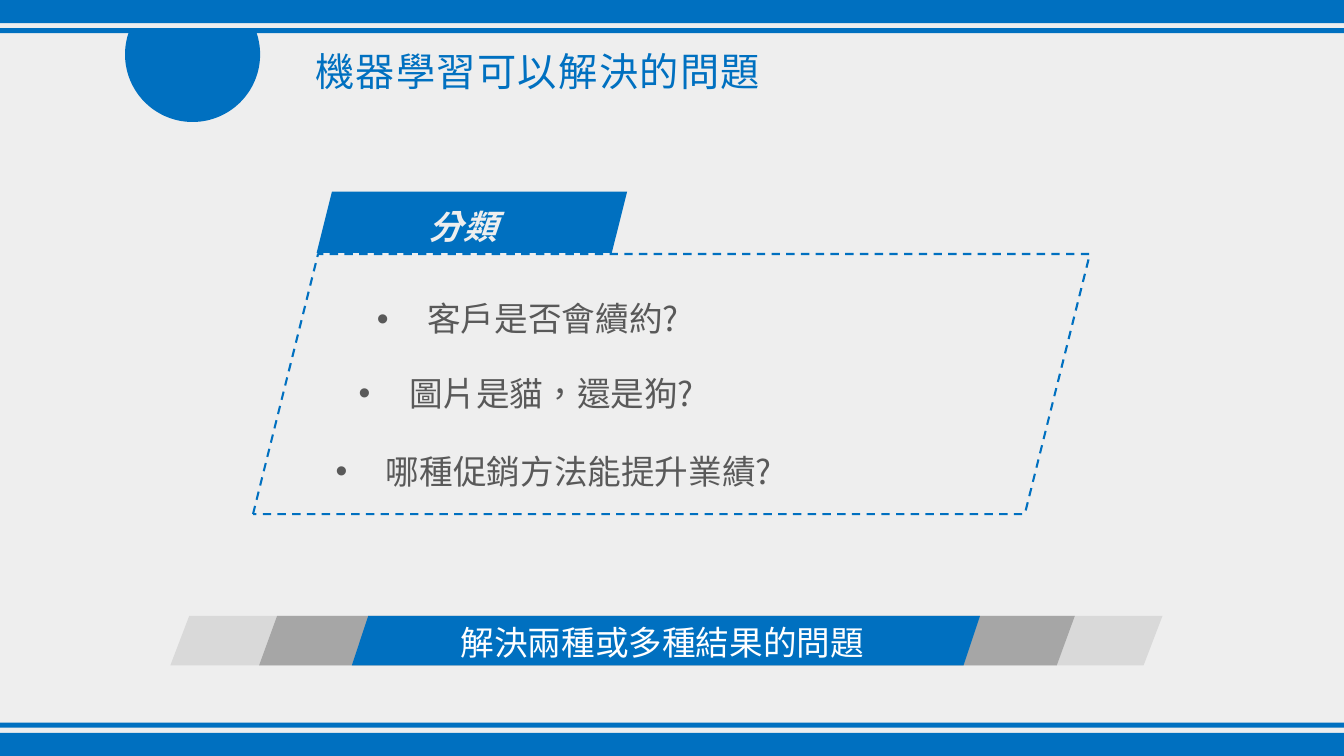
from math import asin, cos, pi, sin

from lxml.etree import SubElement
from pptx import Presentation
from pptx.dml.color import RGBColor
from pptx.enum.dml import MSO_LINE
from pptx.enum.shapes import MSO_SHAPE
from pptx.enum.text import MSO_AUTO_SIZE, PP_ALIGN
from pptx.oxml.ns import qn
from pptx.util import Inches, Pt

COLORS = {
    "blue": "0070C0",
    "paper": "EEEEEE",
    "white": "FFFFFF",
    "light": "D9D9D9",
    "mid": "A6A6A6",
    "text": "595959",
}
FONT = "Noto Sans CJK SC"


def rgb(name):
    return RGBColor.from_string(COLORS[name])


class Deck:
    """Holds the style and the current slide, and draws each kind of element."""

    def __init__(self, width, height):
        self.prs = Presentation()
        self.prs.slide_width = Inches(width)
        self.prs.slide_height = Inches(height)
        self.s = self.prs.slides.add_slide(self.prs.slide_layouts[6])
        self.s.background.fill.solid()
        self.s.background.fill.fore_color.rgb = rgb("paper")

    def paint(self, sp, fill=None, line=None):
        sp.shadow.inherit = False
        if fill:
            sp.fill.solid()
            sp.fill.fore_color.rgb = rgb(fill)
        else:
            sp.fill.background()
        if line:
            sp.line.color.rgb = rgb(line)
            sp.line.width = Pt(1.5)
            sp.line.dash_style = MSO_LINE.DASH
        else:
            sp.line.fill.background()
        return sp

    def shape(self, kind, box, adj=None, **style):
        sp = self.s.shapes.add_shape(kind, *map(Inches, box))
        if adj is not None:
            sp.adjustments[0] = adj
        return self.paint(sp, **style)

    def cut_circle(self, cx, cy, radius, top, fill, steps=120):
        start = asin((top - cy) / radius)
        sweep = pi - 2 * start
        angles = [start + sweep * i / steps for i in range(steps + 1)]
        points = [(Inches(cx + radius * cos(a)), Inches(cy + radius * sin(a)))
                  for a in angles]
        builder = self.s.shapes.build_freeform(*points[0], scale=1.0)
        builder.add_line_segments(points[1:], close=True)
        return self.paint(builder.convert_to_shape(), fill)

    def text(self, box, words, color, size=24, align=PP_ALIGN.JUSTIFY, spacing=1.0,
             wrap=True, margin=0, indent=0, bullet=None, tracking=0, **extra):
        tf = self.s.shapes.add_textbox(*map(Inches, box)).text_frame
        tf.word_wrap = wrap
        tf.auto_size = MSO_AUTO_SIZE.SHAPE_TO_FIT_TEXT
        p = tf.paragraphs[0]
        p.alignment = align
        p.line_spacing = spacing
        pPr = p._p.get_or_add_pPr()
        pPr.set("marL", str(Inches(margin)))
        pPr.set("indent", str(Inches(indent)))
        if bullet:
            SubElement(pPr, qn("a:buFont"), typeface="Arial")
            SubElement(pPr, qn("a:buChar"), char=bullet)
        r = p.add_run()
        r.text = words
        for name, value in {"name": FONT, "size": Pt(size), **extra}.items():
            setattr(r.font, name, value)
        r.font.color.rgb = rgb(color)
        rPr = r._r.get_or_add_rPr()
        rPr.set("lang", "zh-TW")
        if tracking:
            rPr.set("spc", str(tracking * 100))
        SubElement(rPr, qn("a:ea"), typeface=FONT)


def main():
    width, height = 13.33, 7.5
    deck = Deck(width, height)

    for top, thick in ((7.27, 0.23), (7.17, 0.05), (0, 0.23), (0.28, 0.05)):
        deck.shape(MSO_SHAPE.RECTANGLE, (0, top, width, thick), fill="blue")

    deck.text((2.22, 0.3, 8.53, 0.69), "機器學習可以解決的問題", "blue", size=28,
              spacing=1.25, indent=0.81, tracking=1)
    deck.cut_circle(1.91, 0.54, 0.67, 0.32, "blue")

    ribbon = ((1.69, 9.84, 0.382, "light"),
              (2.57, 8.09, 0.364, "mid"),
              (3.49, 6.23, 0.332, "blue"))
    for left, wide, adj, fill in ribbon:
        deck.shape(MSO_SHAPE.PARALLELOGRAM, (left, 6.11, wide, 0.49), adj, fill=fill)
    deck.text((4.47, 6.12, 4.24, 0.5), "解決兩種或多種結果的問題", "white",
              align=PP_ALIGN.LEFT, wrap=False)

    deck.shape(MSO_SHAPE.PARALLELOGRAM, (2.51, 2.52, 8.3, 2.58), line="blue")
    deck.shape(MSO_SHAPE.PARALLELOGRAM, (3.14, 1.9, 3.08, 0.61), fill="blue")
    questions = ((3.64, 2.75, 5.58, "客戶是否會續約?"),
                 (3.46, 3.49, 5.76, "圖片是貓，還是狗?"),
                 (3.23, 4.26, 6.35, "哪種促銷方法能提升業績?"))
    for left, top, wide, words in questions:
        deck.text((left, top, wide, 0.61), words, "text", spacing=1.4,
                  margin=0.5, indent=-0.5, bullet="•")
    deck.text((3.82, 1.89, 1.24, 0.56), "分類", "paper", spacing=1.25, wrap=False,
              indent=0.33, tracking=1, bold=True, italic=True)

    deck.prs.save("out.pptx")


if __name__ == "__main__":
    main()
